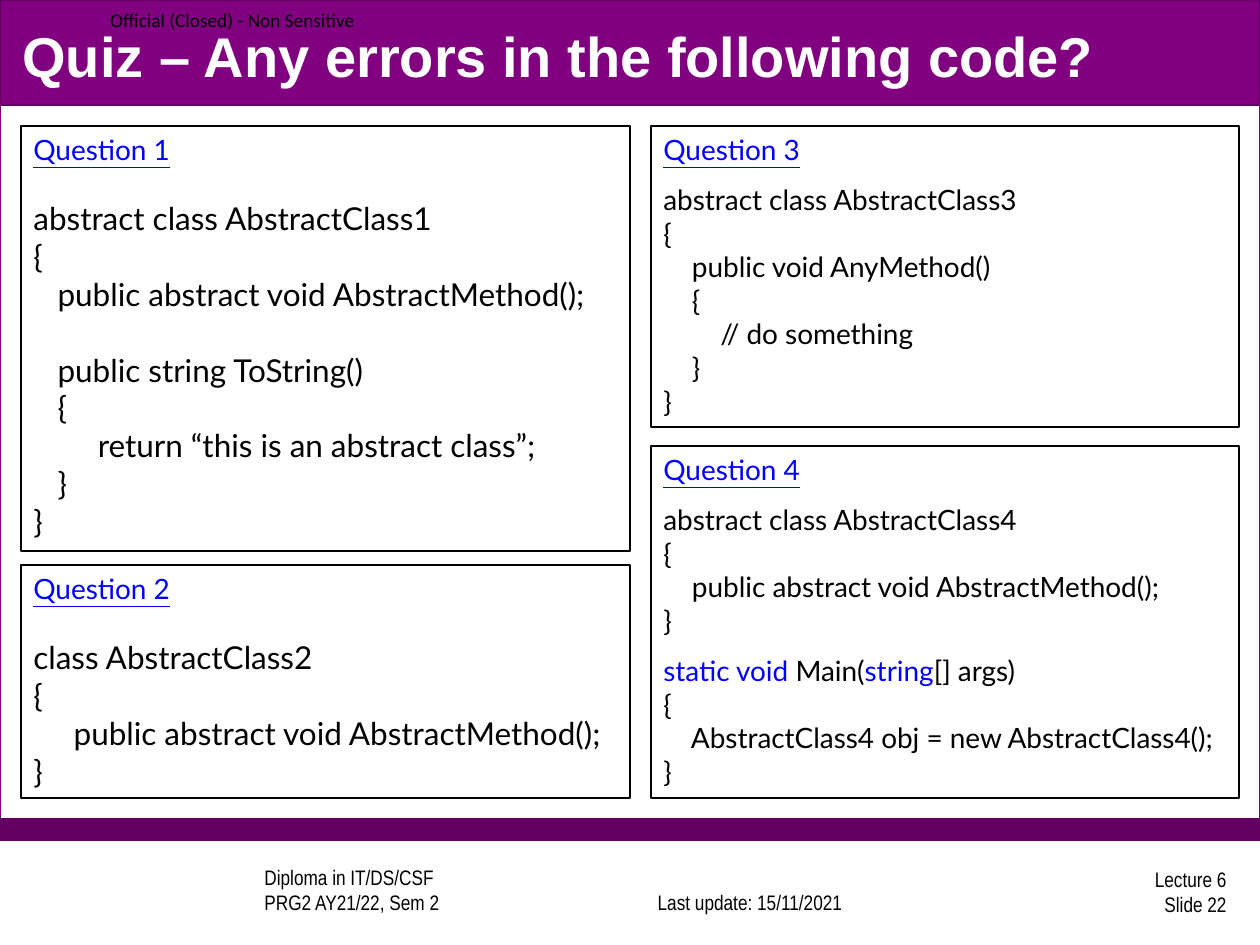
from pptx import Presentation
from pptx.dml.color import RGBColor
from pptx.enum.shapes import MSO_SHAPE as Shape
from pptx.enum.text import MSO_ANCHOR as Anchor, PP_ALIGN as Align
from pptx.util import Emu, Pt

COLORS = {"white": "FFFFFF", "black": "000000", "purple": "800080",
          "dark": "640064", "keyword": "0000FF"}
PAGE_W, PAGE_H = 1260, 945

# left, top, width, height, fill, line
BANDS = [
    (0, 0, PAGE_W, 840, "white", "purple"),
    (0, 819, PAGE_W, 21, "dark", "dark"),
    (0, 0, PAGE_W, 105, "purple", "dark"),
]

FOOTER = dict(name="Arial Narrow", size=12)
# text, place, anchor, alignment, font
LABELS = [
    ("Diploma in IT/DS/CSF\vPRG2 AY21/22, Sem 2", (252, 868, 336, 53),
     Anchor.BOTTOM, Align.LEFT, FOOTER),
    ("Last update: 15/11/2021", (619, 868, 262, 53),
     Anchor.BOTTOM, Align.CENTER, FOOTER),
    ("Lecture 6\vSlide 22", (977, 865, 262, 53),
     Anchor.MIDDLE, Align.RIGHT, FOOTER),
    ("Official (Closed) - Non Sensitive", (98, 0, 281, 39),
     Anchor.MIDDLE, Align.LEFT, dict(name="Calibri", size=11)),
    ("Quiz – Any errors in the following code?", (10, 16, 1239, 78),
     Anchor.MIDDLE, Align.LEFT,
     dict(name="Arial", size=32, bold=True, color="white")),
]

# An empty line is a gap; a list is a line of (text, color) spans.
COLUMNS = [
    dict(left=21, width=609, size=18, head_gap=19.2, code_gap=21.6, questions=[
        (126, 425, "Question 1", [
            "abstract class AbstractClass1",
            "{",
            "   public abstract void AbstractMethod();",
            "",
            "   public string ToString()",
            "   {",
            "        return “this is an abstract class”;",
            "   }",
            "}"]),
        (565, 233, "Question 2", [
            "class AbstractClass2",
            "{",
            "     public abstract void AbstractMethod();",
            "}"]),
    ]),
    dict(left=651, width=588, size=16, head_gap=9.6, code_gap=9.6, questions=[
        (126, 301, "Question 3", [
            "abstract class AbstractClass3",
            "{",
            "    public void AnyMethod()",
            "    {",
            "        // do something",
            "    }",
            "}"]),
        (446, 352, "Question 4", [
            "abstract class AbstractClass4",
            "{",
            "    public abstract void AbstractMethod();",
            "}",
            "",
            [("static void", "keyword"), (" Main(", "black"),
             ("string", "keyword"), ("[] args)", "black")],
            "{",
            "    AbstractClass4 obj = new AbstractClass4();",
            "}"]),
    ]),
]


def px(*lengths):
    return [Emu(round(length * 914400 / 126)) for length in lengths]


def rgb(name):
    return RGBColor.from_string(COLORS[name])


def style(font, size, color="black", **values):
    font.size = Pt(size)
    font.color.rgb = rgb(color)
    for key, value in values.items():
        setattr(font, key, value)


def add_rect(page, place, fill, line, weight):
    box = page.shapes.add_shape(Shape.RECTANGLE, *px(*place))
    box.shadow.inherit = False
    box.fill.solid()
    box.fill.fore_color.rgb = rgb(fill)
    box.line.color.rgb = rgb(line)
    box.line.width = Pt(weight)
    return box


def add_label(page, text, place, anchor, align, font):
    frame = page.shapes.add_textbox(*px(*place)).text_frame
    frame.word_wrap = True
    frame.vertical_anchor = anchor
    para = frame.paragraphs[0]
    para.alignment = align
    para.text = text
    for span in para.runs:
        style(span.font, **font)


def add_question(page, place, heading, code, size, head_gap, code_gap):
    frame = add_rect(page, place, "white", "black", 1).text_frame
    frame.word_wrap = True
    frame.vertical_anchor = Anchor.TOP
    para = frame.paragraphs[0]
    para.alignment = Align.LEFT
    span = para.add_run()
    span.text = heading
    style(span.font, 16, "keyword", name="Lato", underline=True)

    gap = head_gap
    for line in code:
        if not line:
            gap = code_gap
            continue
        para = frame.add_paragraph()
        para.alignment = Align.LEFT
        para.space_before = Pt(gap)
        gap = 0
        spans = [(line, "black")] if isinstance(line, str) else line
        for text, color in spans:
            span = para.add_run()
            span.text = text
            style(span.font, size, color, name="Lato")


def main():
    deck = Presentation()
    deck.slide_width, deck.slide_height = px(PAGE_W, PAGE_H)
    page = deck.slides.add_slide(deck.slide_layouts[6])
    for *place, fill, line in BANDS:
        add_rect(page, place, fill, line, 0.75)
    for label in LABELS:
        add_label(page, *label)
    for column in COLUMNS:
        for top, height, heading, code in column["questions"]:
            place = (column["left"], top, column["width"], height)
            add_question(page, place, heading, code, column["size"],
                         column["head_gap"], column["code_gap"])
    deck.save("out.pptx")


if __name__ == "__main__":
    main()
